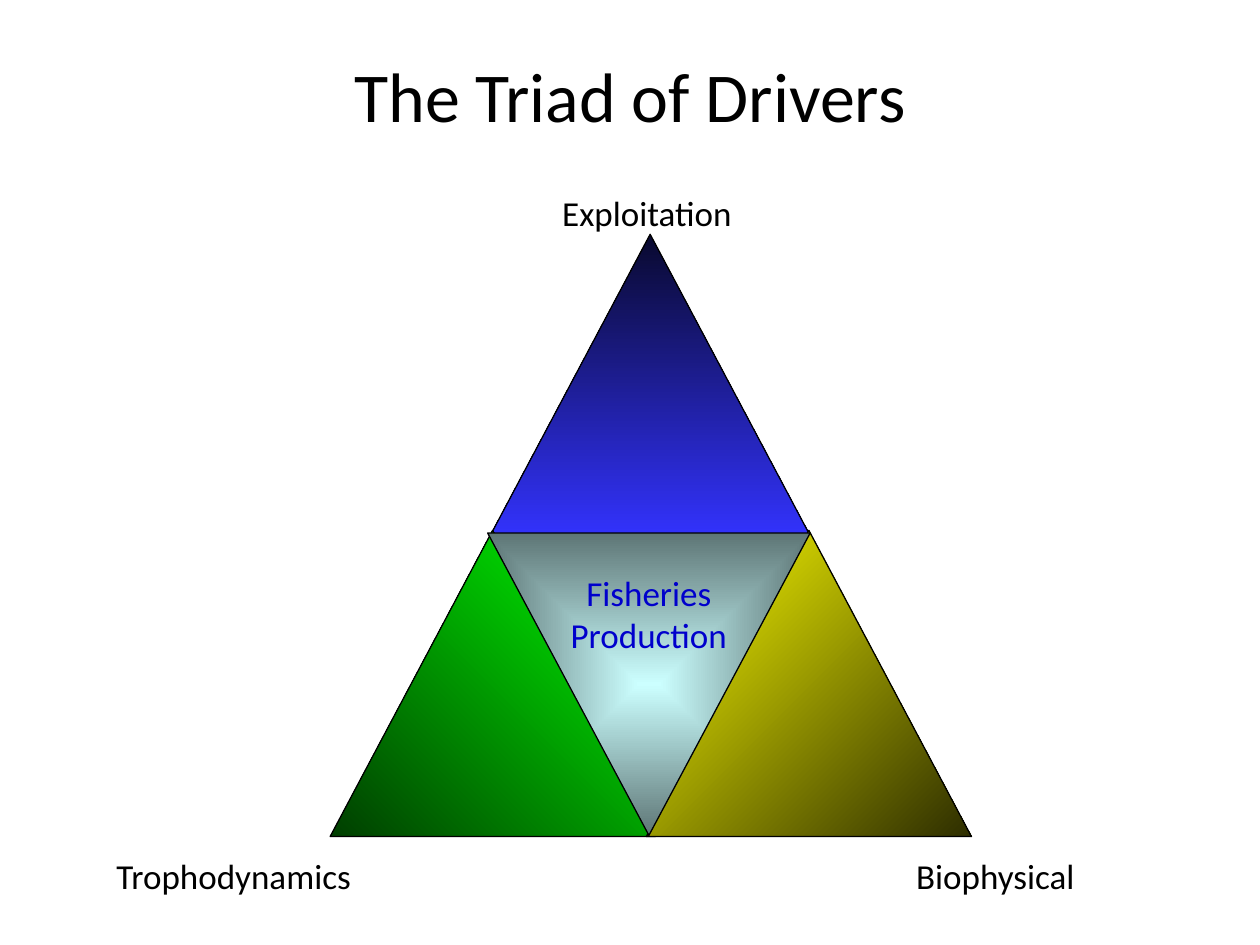
"""Build the slide showing the triad of drivers around fisheries production."""
import lxml.etree
import pptx
import pptx.dml.color
import pptx.enum.shapes
import pptx.enum.text
import pptx.oxml.ns
import pptx.util

Inches = pptx.util.Inches

THEME = {
    "font": "Calibri", "title_size": 40, "label_size": 20, "line_width": 0.75,
    "black": "000000", "label_blue": "0000CC",
    "blue": ("09092E", "3333FF"), "green": ("003E00", "00FF00"),
    "yellow": ("FFFF00", "2E2E00"), "aqua": ("CCFFFF", "5E7676"),
}
TITLE = "The Triad of Drivers"
TITLE_BOX = (0.5, 0.25, 9, 1)
DRIVER_SIZE = (2.58, 2.43)
CENTRE_SIZE = (2.56, 2.4)
TRIANGLES = [
    {"at": (3.87, 1.86), "size": DRIVER_SIZE, "colours": "blue", "angle": 270},
    {"at": (2.62, 4.21), "size": DRIVER_SIZE, "colours": "green", "angle": 45},
    {"at": (5.13, 4.21), "size": DRIVER_SIZE, "colours": "yellow", "angle": 315},
    {"at": (3.87, 4.23), "size": CENTRE_SIZE, "colours": "aqua", "angle": None},
]
LABELS = [
    ("Trophodynamics", (0.58, 6.73, 2.55, 0.44), "black"),
    ("Fisheries Production", (4.31, 4.49, 1.68, 0.77), "label_blue"),
    ("Exploitation", (4.16, 1.47, 1.95, 0.44), "black"),
    ("Biophysical", (6.97, 6.73, 1.86, 0.44), "black"),
]


def colour(value):
    return pptx.dml.color.RGBColor.from_string(value)


def write(frame, text, size, colour_name):
    frame.word_wrap = True
    para = frame.paragraphs[0]
    para.text = text
    para.alignment = pptx.enum.text.PP_ALIGN.CENTER
    para.font.name = THEME["font"]
    para.font.size = pptx.util.Pt(size)
    para.font.color.rgb = colour(THEME[colour_name])


def radiate_from_centre(shape):
    qn = pptx.oxml.ns.qn
    gradient = shape.fill._xPr.find(qn("a:gradFill"))
    gradient.remove(gradient.find(qn("a:lin")))
    radial = lxml.etree.SubElement(gradient, qn("a:path"), {"path": "shape"})
    edges = {edge: "50000" for edge in "ltrb"}
    lxml.etree.SubElement(radial, qn("a:fillToRect"), edges)


def add_triangle(group, at, size, colours, angle):
    kind = pptx.enum.shapes.MSO_SHAPE.ISOSCELES_TRIANGLE
    shape = group.shapes.add_shape(kind, *map(Inches, at + size))
    shape.shadow.inherit = False
    shape.line.color.rgb = colour(THEME["black"])
    shape.line.width = pptx.util.Pt(THEME["line_width"])
    shape.fill.gradient()
    for stop, value in zip(shape.fill.gradient_stops, THEME[colours]):
        stop.color.rgb = colour(value)
    if angle is None:
        shape.rotation = 180
        radiate_from_centre(shape)
    else:
        shape.fill.gradient_angle = angle


def add_label(group, text, at, colour_name):
    box = group.shapes.add_textbox(*map(Inches, at))
    write(box.text_frame, text, THEME["label_size"], colour_name)
    box.text_frame.auto_size = pptx.enum.text.MSO_AUTO_SIZE.SHAPE_TO_FIT_TEXT


def main():
    deck = pptx.Presentation()
    deck.slide_width, deck.slide_height = Inches(10), Inches(7.5)
    page = deck.slides.add_slide(deck.slide_layouts[5])
    title = page.shapes.title
    title.left, title.top, title.width, title.height = map(Inches, TITLE_BOX)
    write(title.text_frame, TITLE, THEME["title_size"], "black")
    title.text_frame.vertical_anchor = pptx.enum.text.MSO_ANCHOR.MIDDLE
    group = page.shapes.add_group_shape()
    for triangle in TRIANGLES:
        add_triangle(group, **triangle)
    for label in LABELS:
        add_label(group, *label)
    deck.save("out.pptx")


if __name__ == "__main__":
    main()
